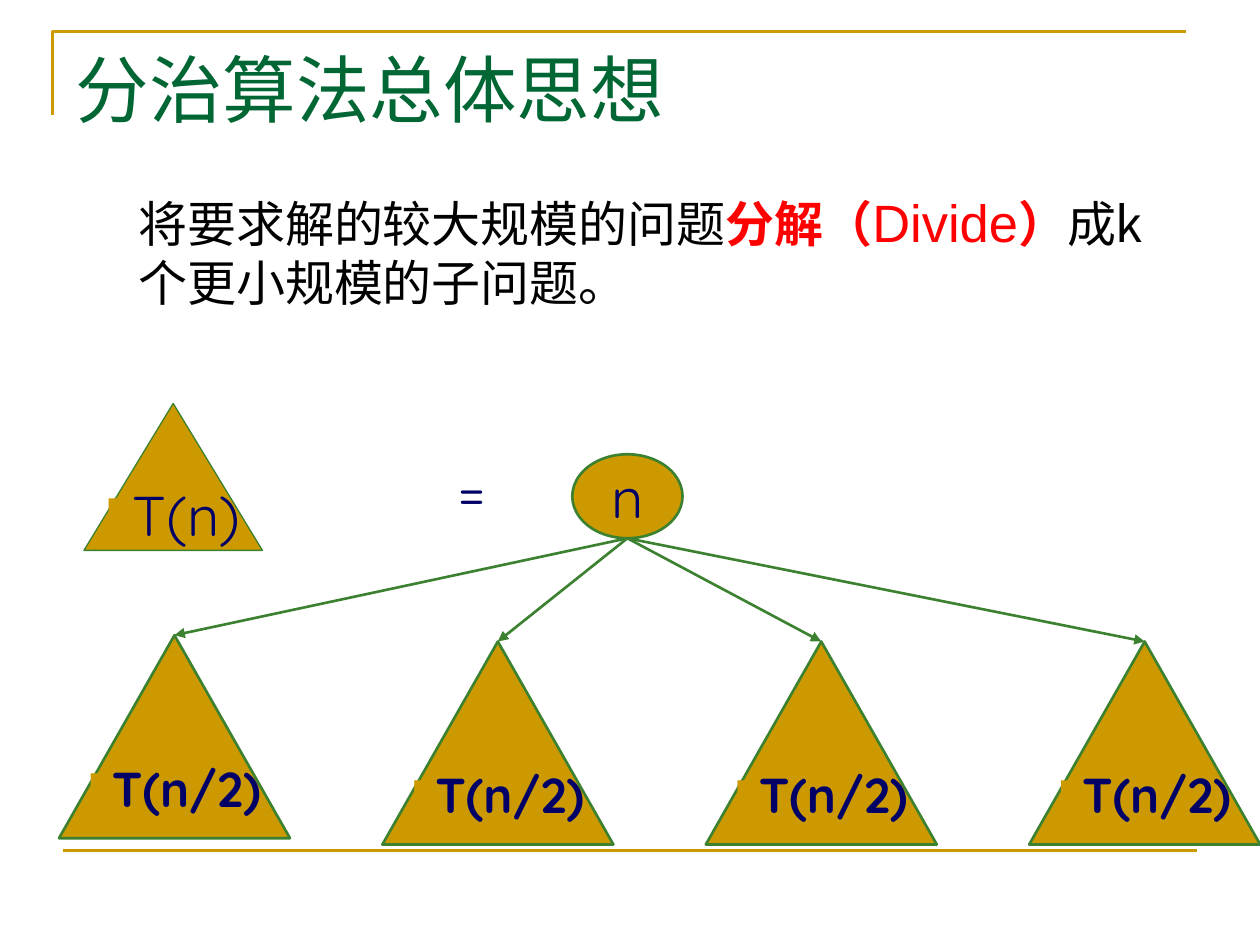
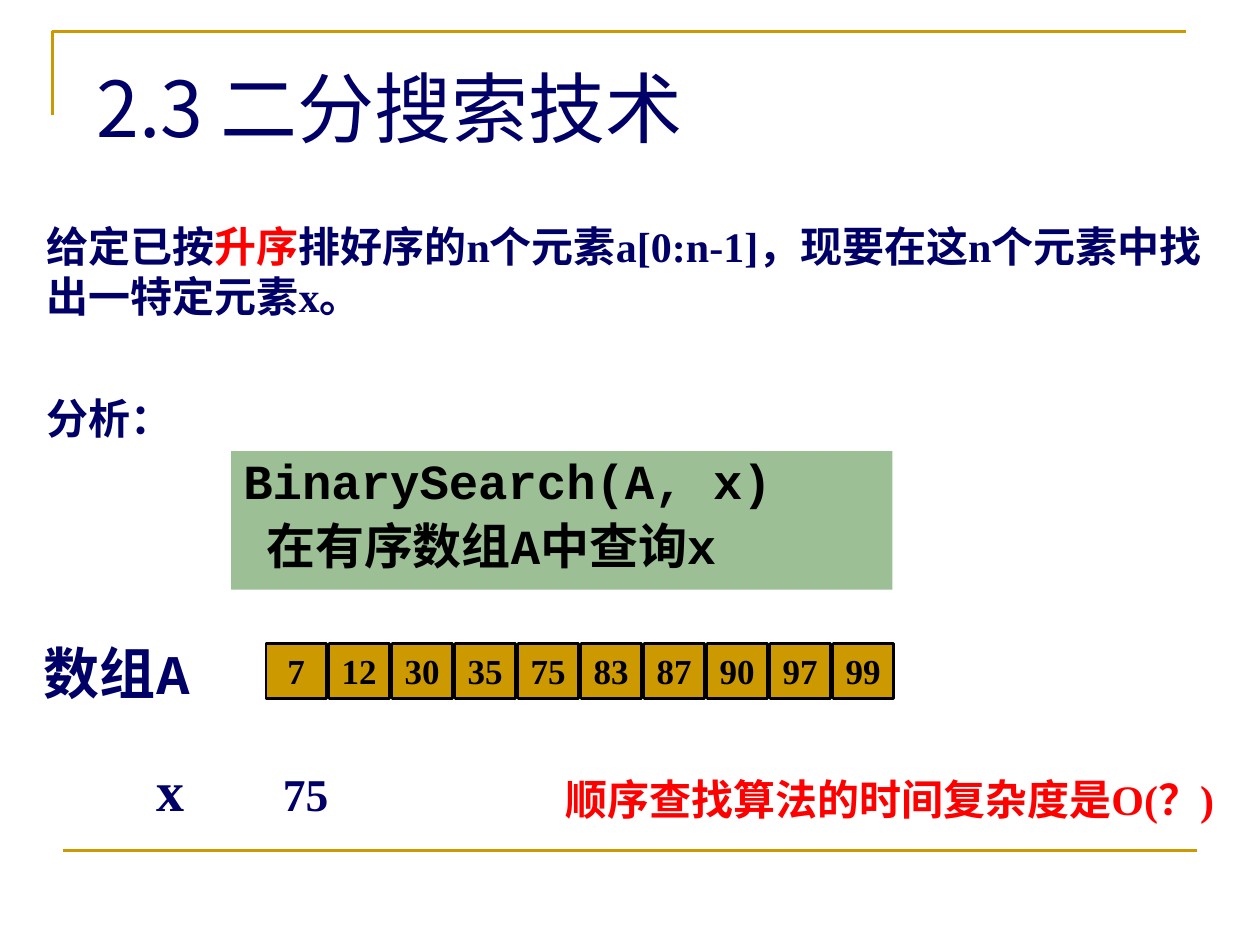
from lxml import etree
from pptx import Presentation
from pptx.dml.color import RGBColor
from pptx.enum.shapes import MSO_CONNECTOR, MSO_SHAPE
from pptx.enum.text import MSO_ANCHOR, MSO_AUTO_SIZE, PP_ALIGN
from pptx.oxml.ns import qn
from pptx.util import Pt

LEFT, CENTER = PP_ALIGN.LEFT, PP_ALIGN.CENTER
TOP, MIDDLE = MSO_ANCHOR.TOP, MSO_ANCHOR.MIDDLE
NO_AUTOSIZE = MSO_AUTO_SIZE.NONE
STRAIGHT = MSO_CONNECTOR.STRAIGHT
TRIANGLE, ELLIPSE = MSO_SHAPE.ISOSCELES_TRIANGLE, MSO_SHAPE.OVAL
RECTANGLE = MSO_SHAPE.RECTANGLE

GOLD, GREEN, TITLE_GREEN = "CC9900", "3B812F", "006633"
NAVY, RED, BLACK = "000066", "FF0000", "000000"
CHINESE, ROUNDED, SERIF = "Noto Sans CJK SC", "Quicksand", "Times New Roman"
CODE, SANS = "Courier New", "Arial"

# Each run is (text, size, font, colour, bold); each paragraph is a list of runs.
DIVIDE_TITLE = [("分治算法总体思想", 42, SERIF, TITLE_GREEN, False)]
DIVIDE_IDEA = [
    ("将要求解的较大规模的问题", 28, CHINESE, BLACK, False),
    ("分解（", 28, CHINESE, RED, True),
    ("Divide", 30, SANS, RED, False),
    ("）", 28, CHINESE, RED, True),
    ("成k个更小规模的子问题。", 28, CHINESE, BLACK, False),
]
WHOLE_PROBLEM = [("T(n)", 32, ROUNDED, NAVY, False)]
EQUALS = [("=", 32, ROUNDED, NAVY, False)]
ROOT = [("n", 32, ROUNDED, NAVY, False)]
SUBPROBLEM = [("T(n/2)", 28, ROUNDED, NAVY, True)]
SUBPROBLEM_TOPS = [363, 366.6, 366.6, 366.6]

SEARCH_TITLE = [("2.3 二分搜索技术", 44, CHINESE, NAVY, False)]
SEARCH_TASK = [
    [
        ("给定已按", 24, SERIF, NAVY, True),
        ("升序", 24, SERIF, RED, True),
        ("排好序的n个元素a[0:n-1]，现要在这n个元素中找出一特定元素x。",
         24, SERIF, NAVY, True),
    ],
    [("分析：", 24, SERIF, NAVY, True)],
]
SEARCH_CALL = [
    [("BinarySearch(A, x)", 28, CODE, BLACK, True)],
    [("在有序数组A中查询x", 28, CODE, BLACK, True)],
]
ARRAY_LABEL = [("数组A", 32, CODE, NAVY, True)]
ARRAY_VALUES = [7, 12, 30, 35, 75, 83, 87, 90, 97, 99]
SEARCH_KEY = [("x\t", 32, SERIF, NAVY, True), ("75", 26, SERIF, NAVY, True)]
QUESTION = [("顺序查找算法的时间复杂度是O(？)", 24, SERIF, RED, True)]


def color(hex_string):
    return RGBColor.from_string(hex_string)


def add_child(parent, tag, **attributes):
    return etree.SubElement(parent, qn(tag), attributes)


def add_bullet(paragraph):
    properties = paragraph._p.get_or_add_pPr()
    add_child(add_child(properties, "a:buClr"), "a:srgbClr", val=GOLD)
    add_child(properties, "a:buSzPct", val="65000")
    add_child(properties, "a:buChar", char="■")


def add_tab_stop(paragraph, position):
    tabs = add_child(paragraph._p.get_or_add_pPr(), "a:tabLst")
    add_child(tabs, "a:tab", pos=str(Pt(position)), algn="l")


def write(shape, paragraphs, align=LEFT, anchor=TOP, wrap=True, bullet=False):
    """Fill the shape with paragraphs of formatted runs."""
    text_frame = shape.text_frame
    text_frame.auto_size = NO_AUTOSIZE
    text_frame.word_wrap = wrap
    text_frame.vertical_anchor = anchor
    for index, runs in enumerate(paragraphs):
        paragraph = text_frame.add_paragraph() if index else text_frame.paragraphs[0]
        paragraph.alignment = align
        if bullet:
            add_bullet(paragraph)
        for text, size, font_name, hex_string, bold in runs:
            run = paragraph.add_run()
            run.text = text
            run.font.size = Pt(size)
            run.font.name = font_name
            run.font.bold = bold
            run.font.color.rgb = color(hex_string)
            add_child(run.font._element, "a:ea", typeface=CHINESE)
    return text_frame.paragraphs


def add_text(slide, box, paragraphs, **layout):
    text_box = slide.shapes.add_textbox(*map(Pt, box))
    return write(text_box, paragraphs, **layout)


def add_filled(slide, kind, box, fill, line=None, line_width=1.5):
    shape = slide.shapes.add_shape(kind, *map(Pt, box))
    shape.shadow.inherit = False
    shape.fill.solid()
    shape.fill.fore_color.rgb = color(fill)
    if line:
        shape.line.color.rgb = color(line)
        shape.line.width = Pt(line_width)
    else:
        shape.line.fill.background()
    return shape


def add_line(slide, start, end, hex_string):
    connector = slide.shapes.add_connector(STRAIGHT, *map(Pt, (*start, *end)))
    connector.line.color.rgb = color(hex_string)
    connector.line.width = Pt(1.5)
    add_child(connector._element.spPr, "a:effectLst")
    return connector


def add_frame(slide):
    """Draw the corner rule above the title and the rule at the foot."""
    builder = slide.shapes.build_freeform(Pt(30), Pt(66))
    builder.add_line_segments([(Pt(30), Pt(18)), (Pt(678), Pt(18))], close=False)
    corner = builder.convert_to_shape()
    corner.shadow.inherit = False
    corner.fill.background()
    corner.line.color.rgb = color(GOLD)
    corner.line.width = Pt(1.5)
    add_line(slide, (36, 486), (684, 486), GOLD)


def add_slide(presentation, title_runs, title_box, title_anchor):
    slide = presentation.slides.add_slide(presentation.slide_layouts[5])
    add_frame(slide)
    title = slide.shapes.title
    title.left, title.top, title.width, title.height = map(Pt, title_box)
    write(title, [title_runs], anchor=title_anchor)
    return slide


def build_divide_slide(presentation):
    slide = add_slide(presentation, DIVIDE_TITLE, (36, 21.6, 648, 90), TOP)
    add_text(slide, (72, 105, 612, 146), [DIVIDE_IDEA])

    whole = add_filled(slide, TRIANGLE, (48, 230.5, 102, 84), GOLD, GREEN, 0.75)
    write(whole, [WHOLE_PROBLEM], CENTER, MIDDLE, wrap=False, bullet=True)
    add_text(slide, (228, 257, 84, 46), [EQUALS], align=CENTER)
    root = add_filled(slide, ELLIPSE, (327, 259.6, 63, 48), GOLD, GREEN)
    write(root, [ROOT], CENTER, MIDDLE, wrap=False)

    root_bottom = (358.5, 307.6)
    for index, top in enumerate(SUBPROBLEM_TOPS):
        left = 33.7 + 184.8 * index
        subproblem = add_filled(slide, TRIANGLE, (left, top, 132, 116), GOLD, GREEN)
        write(subproblem, [SUBPROBLEM], CENTER, MIDDLE, wrap=False, bullet=True)
        arrow = add_line(slide, root_bottom, (left + 66, top), GREEN)
        arrow.end_connect(subproblem, 0)
        add_child(arrow.line._get_or_add_ln(), "a:tailEnd", type="triangle")


def build_search_slide(presentation):
    slide = add_slide(presentation, SEARCH_TITLE, (48, 16, 612, 90), MIDDLE)
    task = add_text(slide, (19.5, 122.4, 680.5, 134.6), SEARCH_TASK)
    task[1].space_before = Pt(41)

    call_box = add_filled(slide, RECTANGLE, (132, 257.8, 378, 79.2), GREEN)
    fill_color = call_box._element.spPr.find(qn("a:solidFill"))[0]
    add_child(fill_color, "a:alpha", val="50000")
    call, description = write(call_box, SEARCH_CALL)
    call.line_spacing = description.line_spacing = 0.9
    description.space_before = Pt(7)
    description._p.get_or_add_pPr().set("marL", str(Pt(13)))

    add_text(slide, (18, 361.5, 105, 46), [ARRAY_LABEL], wrap=False)
    for index, value in enumerate(ARRAY_VALUES):
        box = (152 + 36 * index, 367.8, 34.5, 31.5)
        cell = add_filled(slide, RECTANGLE, box, GOLD, BLACK)
        write(cell, [[(str(value), 20, SERIF, BLACK, True)]], CENTER, wrap=False)

    key = add_text(slide, (82.5, 428.4, 112.5, 46), [SEARCH_KEY], wrap=False)
    add_tab_stop(key[0], 72)
    add_text(slide, (316, 438.5, 402.5, 36), [QUESTION], wrap=False)


def main():
    presentation = Presentation()
    presentation.slide_width, presentation.slide_height = Pt(720), Pt(540)
    build_divide_slide(presentation)
    build_search_slide(presentation)
    presentation.save("out.pptx")


if __name__ == "__main__":
    main()
